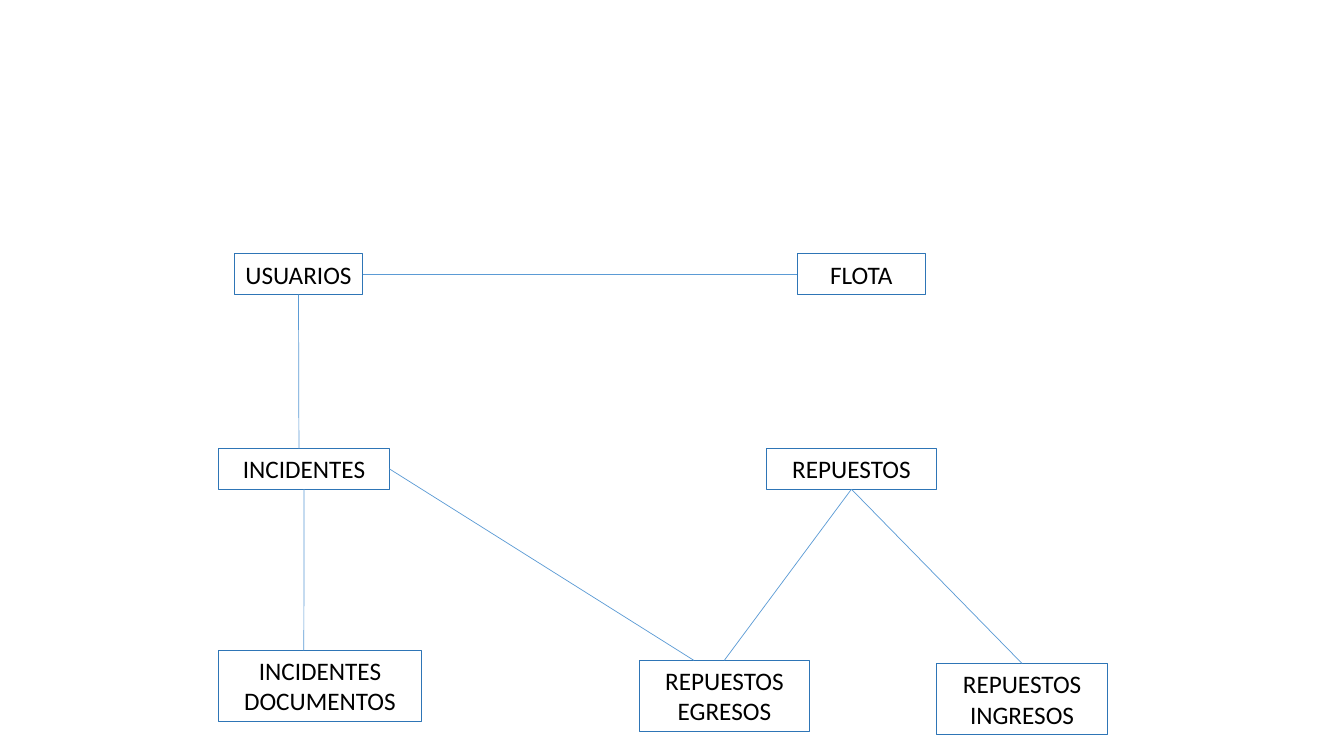
from pptx import Presentation
from pptx import util as u
from pptx.dml.color import RGBColor
from pptx.enum import shapes, text
from pptx.oxml import ns

BOX_LINE = RGBColor(0x2E, 0x75, 0xB6)
LINK_LINE = RGBColor(0x5B, 0x9B, 0xD5)
BLACK = RGBColor(0, 0, 0)
COLUMNS = 40
ROWS = 22.5
SIDES = ("top", "left", "bottom", "right")


def write(shape, words, font="Calibri", size=18, color=BLACK, align=text.PP_ALIGN.CENTER):
    frame = shape.text_frame
    frame.word_wrap = True
    frame.auto_size = text.MSO_AUTO_SIZE.SHAPE_TO_FIT_TEXT
    frame.vertical_anchor = text.MSO_ANCHOR.TOP
    paragraph = frame.paragraphs[0]
    paragraph.alignment = align
    run = paragraph.add_run()
    run.text = words
    run.font.name = font
    run.font.size = u.Pt(size)
    run.font.color.rgb = color


def edge_point(shape, side, share):
    if side in ("top", "bottom"):
        x = shape.left + int(shape.width * share)
        return x, shape.top + (shape.height if side == "bottom" else 0)
    y = shape.top + int(shape.height * share)
    return shape.left + (shape.width if side == "right" else 0), y


class Diagram:
    def __init__(self, presentation):
        self.slide = presentation.slides.add_slide(presentation.slide_layouts[6])
        self.column = presentation.slide_width / COLUMNS
        self.row = presentation.slide_height / ROWS

    def entity(self, words, left, top, width, height):
        shape = self.slide.shapes.add_shape(
            shapes.MSO_SHAPE.RECTANGLE,
            int(left * self.column), int(top * self.row),
            int(width * self.column), int(height * self.row))
        shape.shadow.inherit = False
        shape.fill.background()
        shape.line.color.rgb = BOX_LINE
        shape.line.width = u.Pt(0.75)
        write(shape, words)
        return shape

    def link(self, start, start_side, end, end_side, start_share=0.5, end_share=0.5):
        connector = self.slide.shapes.add_connector(
            shapes.MSO_CONNECTOR.STRAIGHT,
            *edge_point(start, start_side, start_share),
            *edge_point(end, end_side, end_share))
        if start_share == 0.5:
            connector.begin_connect(start, SIDES.index(start_side))
        if end_share == 0.5:
            connector.end_connect(end, SIDES.index(end_side))
        connector.line.color.rgb = LINK_LINE
        connector.line.width = u.Pt(0.5)
        properties = connector._element.spPr
        properties.append(properties.makeelement(ns.qn("a:effectLst"), {}))


presentation = Presentation()
presentation.slide_width = u.Inches(13.33)
presentation.slide_height = u.Inches(7.5)
diagram = Diagram(presentation)

ONE_LINE, TWO_LINES = 1.21, 2.12
NARROW, MEDIUM, WIDE = 3.81, 5.08, 6.03
USERS_ROW, INCIDENTS_ROW = 7.56, 13.35
INCIDENTS_COLUMN = 6.51

users = diagram.entity("USUARIOS", 6.98, USERS_ROW, NARROW, ONE_LINE)
fleet = diagram.entity("FLOTA", 23.73, USERS_ROW, NARROW, ONE_LINE)
incidents = diagram.entity("INCIDENTES", INCIDENTS_COLUMN, INCIDENTS_ROW, MEDIUM, ONE_LINE)
parts = diagram.entity("REPUESTOS", 22.8, INCIDENTS_ROW, MEDIUM, ONE_LINE)
documents = diagram.entity("INCIDENTES DOCUMENTOS", INCIDENTS_COLUMN, 19.36, WIDE, TWO_LINES)
parts_in = diagram.entity("REPUESTOS INGRESOS", 27.88, 19.75, MEDIUM, TWO_LINES)
parts_out = diagram.entity("REPUESTOS EGRESOS", 19.02, 19.65, MEDIUM, TWO_LINES)

diagram.link(users, "right", fleet, "left")
diagram.link(users, "bottom", incidents, "top", end_share=0.47)
diagram.link(incidents, "bottom", documents, "top", end_share=0.42)
diagram.link(parts, "bottom", parts_in, "top")
diagram.link(parts, "bottom", parts_out, "top")
diagram.link(incidents, "right", parts_out, "top", end_share=0.32)

presentation.save("out.pptx")
